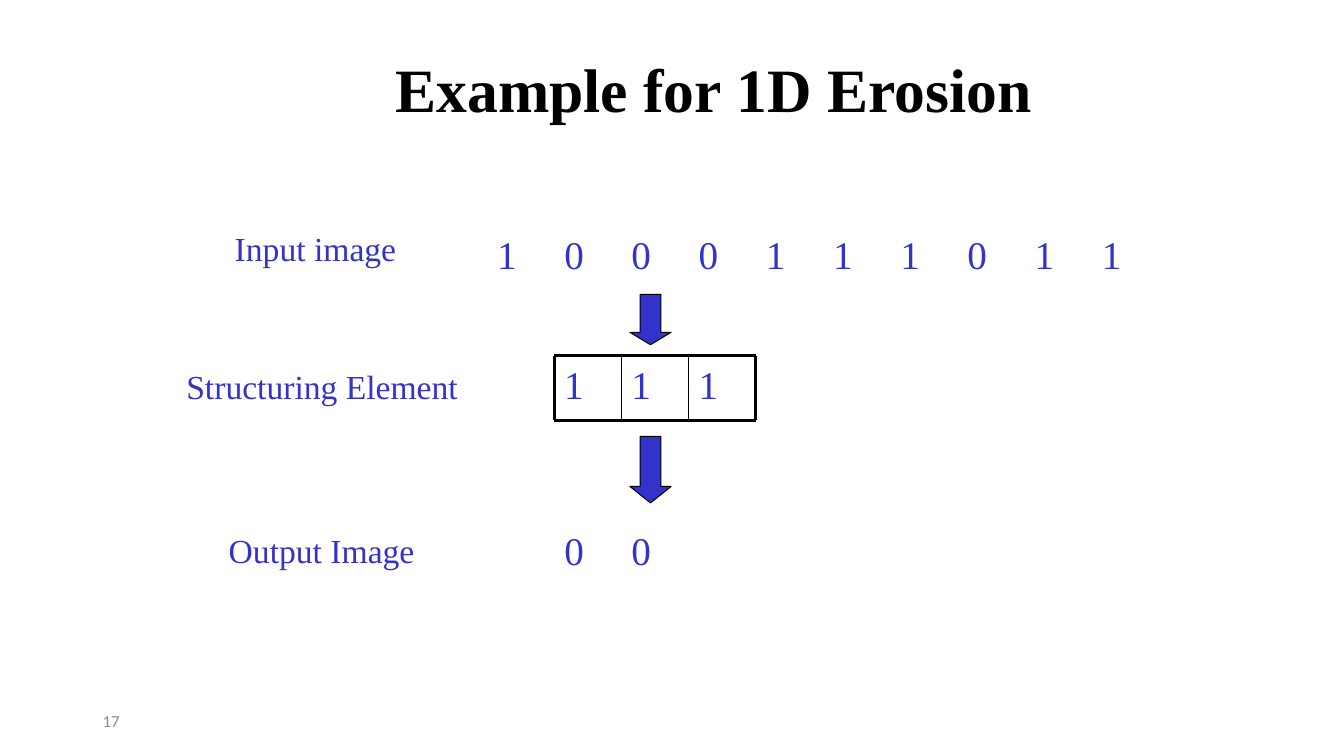
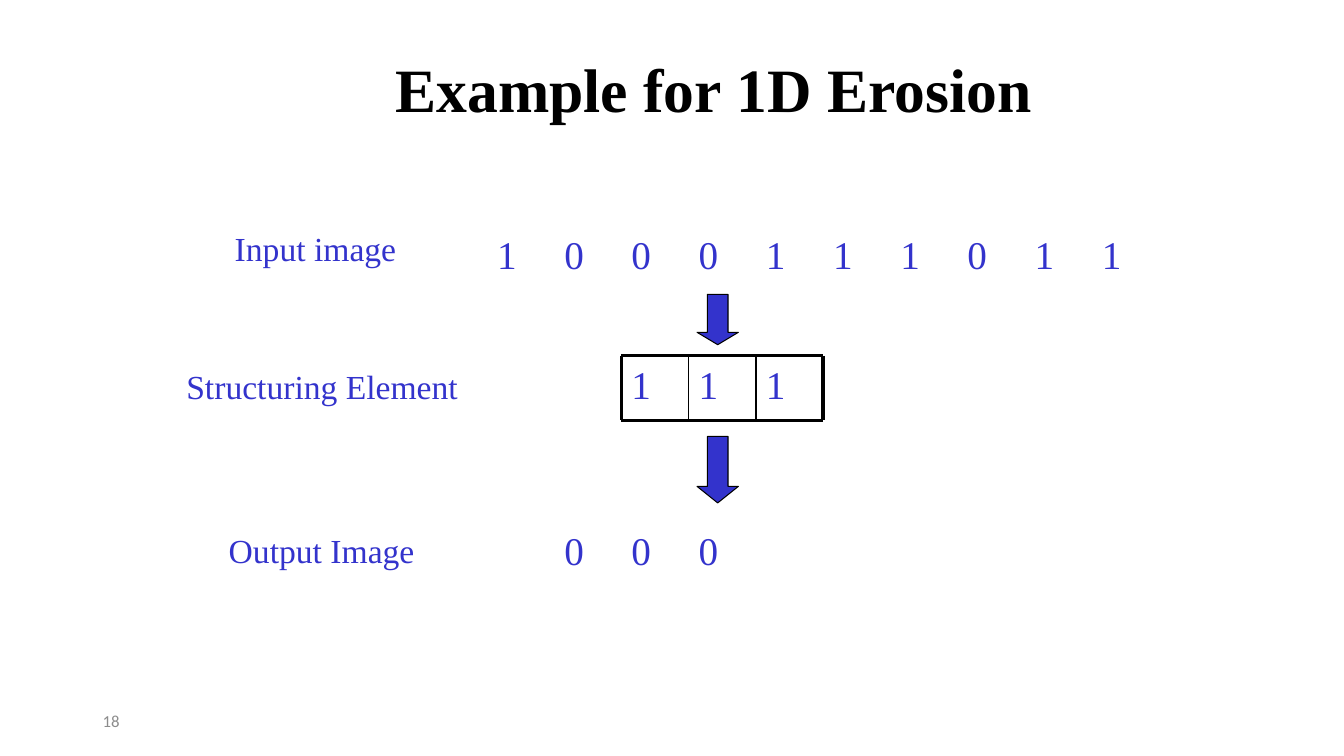
from lxml.etree import SubElement
from pptx import Presentation
from pptx.dml.color import RGBColor
from pptx.enum.shapes import MSO_CONNECTOR, MSO_SHAPE
from pptx.enum.text import MSO_ANCHOR, MSO_AUTO_SIZE, PP_ALIGN
from pptx.oxml.ns import qn
from pptx.util import Inches, Pt

BLUE = RGBColor(0x33, 0x33, 0xCC)
BLACK = RGBColor(0, 0, 0)
GRAY = RGBColor(0x8C, 0x8C, 0x8C)
SERIF = "Times New Roman"
SANS = "Calibri"
LEFT = 4.83
STEP = 2 / 3
SPAN = 3
BITS = "1000111011"


def write(frame, text, size=28, font=SERIF, color=BLUE, bold=False,
          align=PP_ALIGN.LEFT, before=0, spacing=None):
    """Fill a text frame with one formatted paragraph."""
    para = frame.paragraphs[0]
    para.alignment = align
    para.space_before = Pt(before)
    para.line_spacing = spacing
    run = para.add_run()
    run.text = text
    run.font.size = Pt(size)
    run.font.name = font
    run.font.color.rgb = color
    run.font.bold = bold


def add_text(shapes, box, text, anchor=MSO_ANCHOR.TOP, wrap=True, **style):
    """Place a text box on the given box."""
    frame = shapes.add_textbox(*map(Inches, box)).text_frame
    frame.word_wrap = wrap
    frame.auto_size = MSO_AUTO_SIZE.NONE if wrap else MSO_AUTO_SIZE.SHAPE_TO_FIT_TEXT
    frame.vertical_anchor = anchor
    write(frame, text, **style)


def add_line(shapes, start, end, width):
    """Draw a black line without a shadow."""
    line = shapes.add_connector(MSO_CONNECTOR.STRAIGHT,
                                *map(Inches, (*start, *end)))
    line.line.color.rgb = BLACK
    line.line.width = Pt(width)
    SubElement(line._element.spPr, qn("a:effectLst"))


def add_arrow(shapes, box, head):
    """Draw a blue arrow that points down."""
    arrow = shapes.add_shape(MSO_SHAPE.DOWN_ARROW, *map(Inches, box))
    arrow.adjustments[0] = 0.5
    arrow.adjustments[1] = head
    arrow.shadow.inherit = False
    arrow.fill.solid()
    arrow.fill.fore_color.rgb = BLUE
    arrow.line.color.rgb = BLACK
    arrow.line.width = Pt(0.75)


def add_bits(shapes, top, bits):
    """Place a row of pixels, with blanks for empty cells."""
    count = len(BITS)
    table = shapes.add_table(1, count, *map(Inches, (LEFT, top, count * STEP, 0.58))).table
    table.first_row = table.horz_banding = False
    table.rows[0].height = Inches(0.58)
    for col, bit in enumerate(bits.ljust(count)):
        table.columns[col].width = Inches(STEP)
        cell = table.cell(0, col)
        cell.fill.background()
        cell.margin_left = cell.margin_right = Inches(0.1)
        cell.margin_top = Inches(0.13)
        cell.margin_bottom = Inches(0.05)
        if bit != " ":
            write(cell.text_frame, bit, before=7, spacing=0.86)


def add_window(shapes, left, top):
    """Draw the structuring element with the arrows above and below it."""
    parts = shapes.add_group_shape().shapes
    high = 0.64
    right, base = left + SPAN * STEP, top + high
    for col in range(SPAN):
        add_text(parts, (left + col * STEP, top, STEP, high), "1", before=7)
    for y in (top, base):
        add_line(parts, (left, y), (right, y), 2.25)
    for col in range(SPAN + 1):
        x = left + col * STEP
        add_line(parts, (x, top), (x, base), 2.25 if col in (0, SPAN) else 1)
    x = left + 0.75
    add_arrow(parts, (x, top - 0.61, 0.41, 0.5), 0.3)
    add_arrow(parts, (x, top + 0.8, 0.41, 0.66), 0.4)


def add_frame(shapes, number):
    """Place the title and the slide number."""
    add_text(shapes, (0.92, 6.95, 3, 0.4), str(number), anchor=MSO_ANCHOR.MIDDLE,
             size=12, font=SANS, color=GRAY)
    add_text(shapes, (2.83, 0.25, 8.5, 1.25), "Example for 1D Erosion",
             anchor=MSO_ANCHOR.MIDDLE, size=44, color=BLACK, bold=True,
             align=PP_ALIGN.CENTER)


def add_step(deck, number, shift, result):
    """Build one step of the erosion, with the window moved by shift cells."""
    shapes = deck.slides.add_slide(deck.slide_layouts[6]).shapes
    add_frame(shapes, number)
    labels = (((2.23, 2.21, 1.8, 0.5), "Input image"),
              ((1.75, 3.58, 2.9, 0.5), "Structuring Element"),
              ((2.17, 5.21, 2.04, 0.5), "Output Image"))
    for box, text in labels:
        add_text(shapes, box, text, wrap=False, size=24)
    add_bits(shapes, 2.25, BITS)
    add_bits(shapes, 5.18, result)
    add_window(shapes, LEFT + shift * STEP, 3.53)


def main():
    """Build and save the deck."""
    deck = Presentation()
    deck.slide_width = Inches(13.33)
    deck.slide_height = Inches(7.5)
    add_step(deck, 17, 1, " 00")
    add_step(deck, 18, 2, " 000")
    deck.save("out.pptx")


if __name__ == "__main__":
    main()
